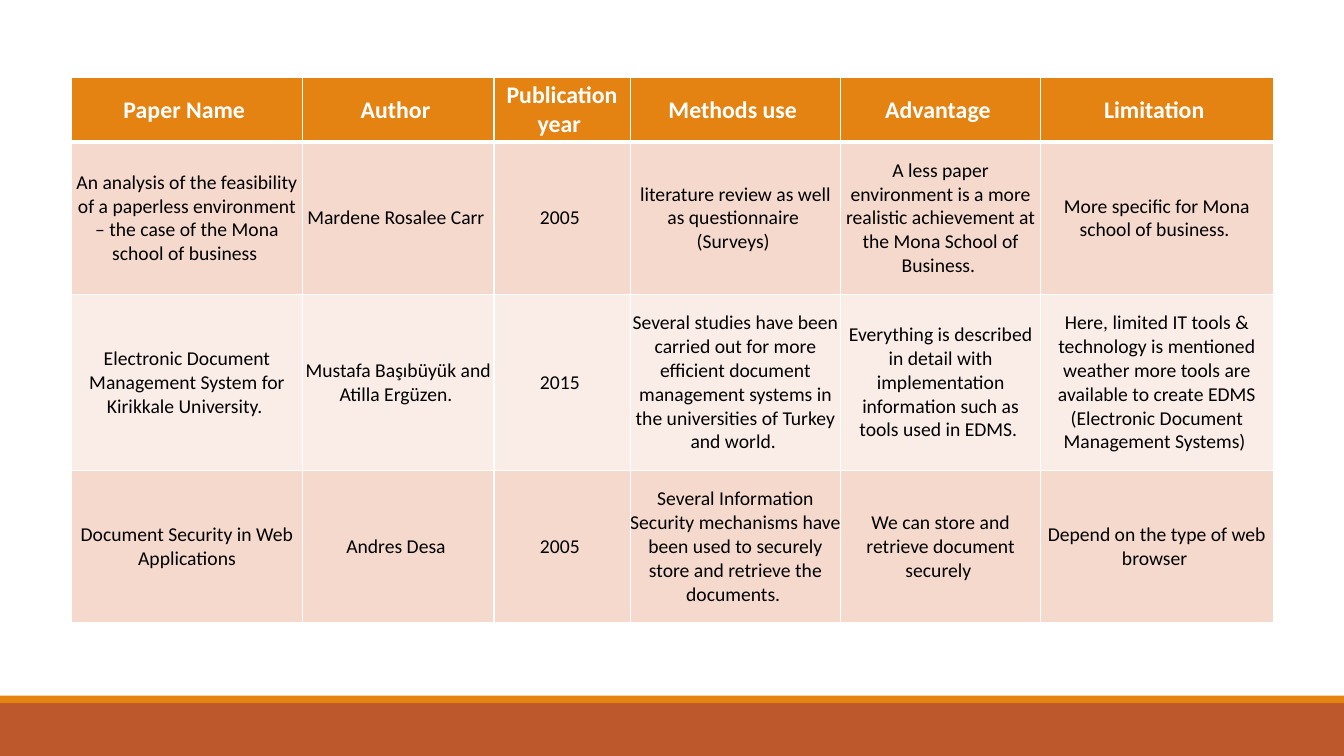
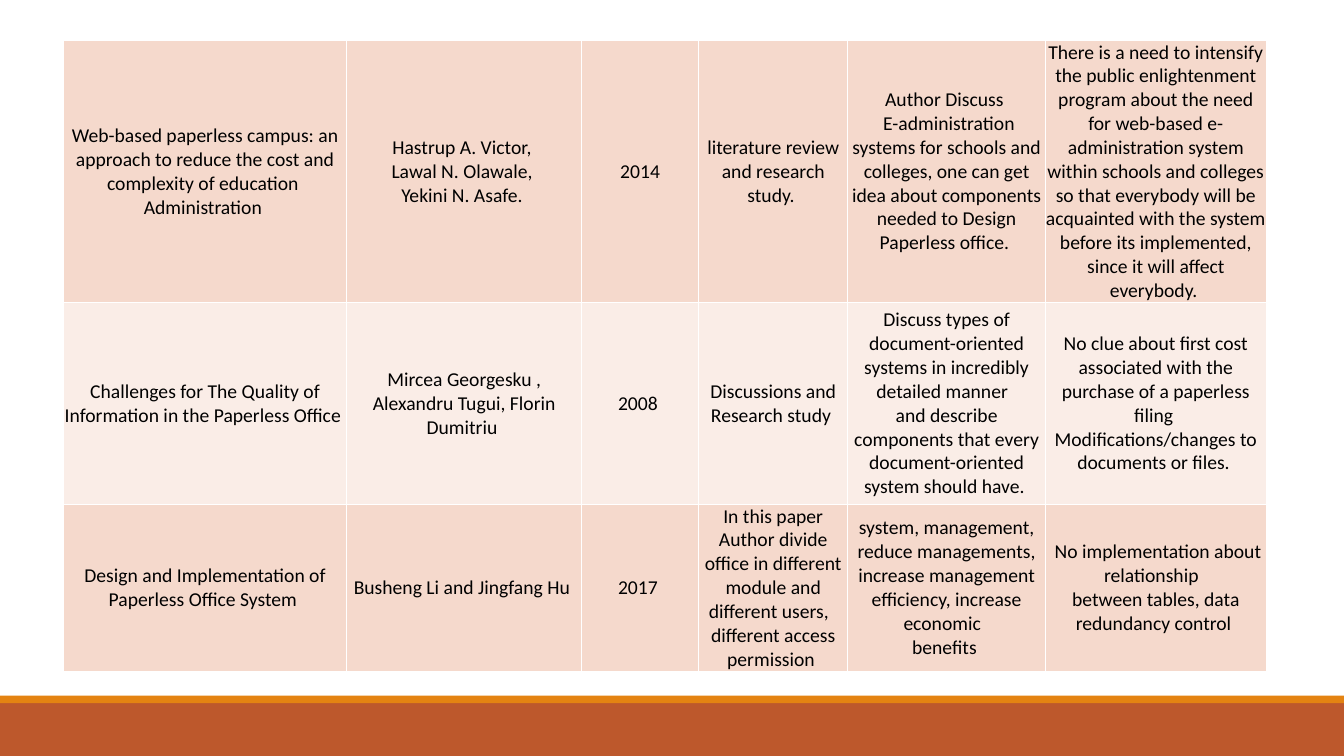
import lxml.etree
import pptx
import pptx.dml.color
import pptx.enum.shapes
import pptx.enum.text
import pptx.oxml.ns
import pptx.util

RGBColor = pptx.dml.color.RGBColor
Inches = pptx.util.Inches

# Shared look
ORANGE = RGBColor(0xE4, 0x83, 0x12)
RUST = RGBColor(0xBD, 0x58, 0x2C)
DARK_BAND = RGBColor(0xF5, 0xD9, 0xCC)
LIGHT_BAND = RGBColor(0xFA, 0xED, 0xE7)
WHITE = RGBColor(0xFF, 0xFF, 0xFF)
BLACK = RGBColor(0x00, 0x00, 0x00)
FONT = "Calibri"
SLIDE_WIDTH = Inches(13.33)
SLIDE_HEIGHT = Inches(7.5)
BLANK_LAYOUT = 6

# Footer bands: top and height as shares of the slide height
FOOTER_BANDS = [(0.93, 0.07, RUST), (0.92, 0.01, ORANGE)]

# Table content: a cell is a text, or a list of paragraphs
HEADER = ["Paper Name ", "Author ", "Publication year ", "Methods use ", "Advantage ", "Limitation "]

FIRST_PAPERS = [
    [
        "An analysis of the feasibility of a paperless environment – the case of the Mona school of business ",
        "Mardene Rosalee Carr ",
        "2005 ",
        ["literature review as well as questionnaire ", "(Surveys) "],
        "A less paper environment is a more realistic achievement at the Mona School of Business. ",
        "More specific for Mona school of business. ",
    ],
    [
        "Electronic Document Management System for Kirikkale University. ",
        "Mustafa Başıbüyük and Atilla Ergüzen. ",
        "2015 ",
        "Several studies have been carried out for more efficient document management systems "
        "in the universities of Turkey and world. ",
        "Everything is described in detail with implementation information such as tools used in EDMS. ",
        "Here, limited IT tools & technology is mentioned weather more tools are available "
        "to create EDMS (Electronic Document Management Systems) ",
    ],
    [
        "Document Security in Web Applications",
        "Andres Desa ",
        "2005 ",
        "Several Information Security mechanisms have been used to securely store and retrieve the documents. ",
        "We can store and retrieve document securely ",
        "Depend on the type of web browser ",
    ],
]

SECOND_PAPERS = [
    [
        ["Web-based paperless campus: an approach to reduce the cost and complexity of education ",
         "Administration "],
        ["Hastrup A. Victor, ", "Lawal N. Olawale, ", "Yekini N. Asafe. "],
        " 2014 ",
        "literature review and research study. ",
        ["Author Discuss ",
         " E-administration systems for schools and colleges, one can get idea about "
         "components needed to Design Paperless office. "],
        "There is a need to intensify the public enlightenment program about the need for web-based "
        "e-administration system within schools and colleges so that everybody will be acquainted "
        "with the system before its implemented, since it will affect everybody. ",
    ],
    [
        "Challenges for The Quality of Information in the Paperless Office ",
        " Mircea Georgesku ,  Alexandru Tugui, Florin Dumitriu ",
        "2008 ",
        "Discussions and Research study ",
        ["Discuss types of document-oriented systems in incredibly detailed manner  ",
         "and describe components that every document-oriented system should have. "],
        ["No clue about first cost associated with the purchase of a paperless filing ",
         "Modifications/changes to documents or files. "],
    ],
    [
        "Design and Implementation of Paperless Office System ",
        "Busheng Li and Jingfang Hu ",
        "2017 ",
        ["In this paper Author divide office in different module and different users,  ",
         "different access permission "],
        ["system, management, reduce managements, increase management efficiency, increase economic  ",
         "benefits "],
        [" No implementation about relationship  ",
         "between tables, data redundancy control "],
    ],
]


def write_text(text_frame, text, size=14, color=BLACK, bold=False,
               align=pptx.enum.text.PP_ALIGN.CENTER):
    """Fill a text frame with one paragraph, or with a list of them."""
    paragraphs = [text] if isinstance(text, str) else text
    for index, content in enumerate(paragraphs):
        paragraph = text_frame.add_paragraph() if index else text_frame.paragraphs[0]
        paragraph.alignment = align
        run = paragraph.add_run()
        run.text = content
        run.font.name = FONT
        run.font.size = pptx.util.Pt(size)
        run.font.bold = bold
        run.font.color.rgb = color


def set_borders(cell, bottom=1):
    """Draw white cell borders; widths are in points."""
    properties = cell._tc.get_or_add_tcPr()
    widths = {"a:lnL": 1, "a:lnR": 1, "a:lnT": 1, "a:lnB": bottom}
    for index, (tag, width) in enumerate(widths.items()):
        line = lxml.etree.Element(pptx.oxml.ns.qn(tag), w=str(pptx.util.Pt(width)))
        fill = lxml.etree.SubElement(line, pptx.oxml.ns.qn("a:solidFill"))
        lxml.etree.SubElement(fill, pptx.oxml.ns.qn("a:srgbClr"), val=str(WHITE))
        properties.insert(index, line)


def format_cell(cell, text, fill, bottom=1, **text_format):
    cell.margin_left = cell.margin_right = cell.margin_top = cell.margin_bottom = 0
    cell.vertical_anchor = pptx.enum.text.MSO_ANCHOR.MIDDLE
    set_borders(cell, bottom)
    cell.fill.solid()
    cell.fill.fore_color.rgb = fill
    write_text(cell.text_frame, text, **text_format)


def add_paper_table(slide, left, top, columns, rows, papers, header=None):
    """Add a banded table; column widths and row heights are in inches."""
    frame = slide.shapes.add_table(len(rows), len(columns), Inches(left), Inches(top),
                                   Inches(sum(columns)), Inches(sum(rows)))
    table = frame.table
    table.first_row = header is not None
    table.horz_banding = False
    for column, width in zip(table.columns, columns):
        column.width = Inches(width)
    for row, height in zip(table.rows, rows):
        row.height = Inches(height)

    first_paper = 0
    if header:
        first_paper = 1
        for cell, text in zip(table.rows[0].cells, header):
            format_cell(cell, text, ORANGE, bottom=3, size=17, color=WHITE, bold=True)
    for index, paper in enumerate(papers):
        fill = LIGHT_BAND if index % 2 else DARK_BAND
        for cell, text in zip(table.rows[first_paper + index].cells, paper):
            format_cell(cell, text, fill)


def add_footer_bands(presentation, slide):
    """Draw the bands once and move them to the slide master."""
    master_tree = presentation.slide_master.shapes.element
    for index, (top, height, color) in enumerate(FOOTER_BANDS):
        band = slide.shapes.add_shape(
            pptx.enum.shapes.MSO_SHAPE.RECTANGLE, 0, int(SLIDE_HEIGHT * top),
            SLIDE_WIDTH, int(SLIDE_HEIGHT * height))
        band.shadow.inherit = False
        band.fill.solid()
        band.fill.fore_color.rgb = color
        band.line.fill.background()
        band.name = f"Footer band {index + 1}"
        band.element.nvSpPr.cNvPr.set("id", str(100 + index))
        master_tree.insert(2 + index, band.element)


def main():
    presentation = pptx.Presentation()
    presentation.slide_width = SLIDE_WIDTH
    presentation.slide_height = SLIDE_HEIGHT
    layout = presentation.slide_layouts[BLANK_LAYOUT]

    # First papers, with the header row
    slide = presentation.slides.add_slide(layout)
    add_footer_bands(presentation, slide)
    add_paper_table(slide, 0.71, 0.77, [2.29, 1.9, 1.35, 2.09, 1.98, 2.31],
                    [0.64, 1.51, 1.75, 1.51], FIRST_PAPERS, header=HEADER)

    # Remaining papers
    slide = presentation.slides.add_slide(layout)
    add_paper_table(slide, 0.63, 0.4, [2.81, 2.33, 1.16, 1.48, 1.96, 2.19],
                    [2.45, 2, 1.56], SECOND_PAPERS)

    presentation.save("out.pptx")


if __name__ == "__main__":
    main()
